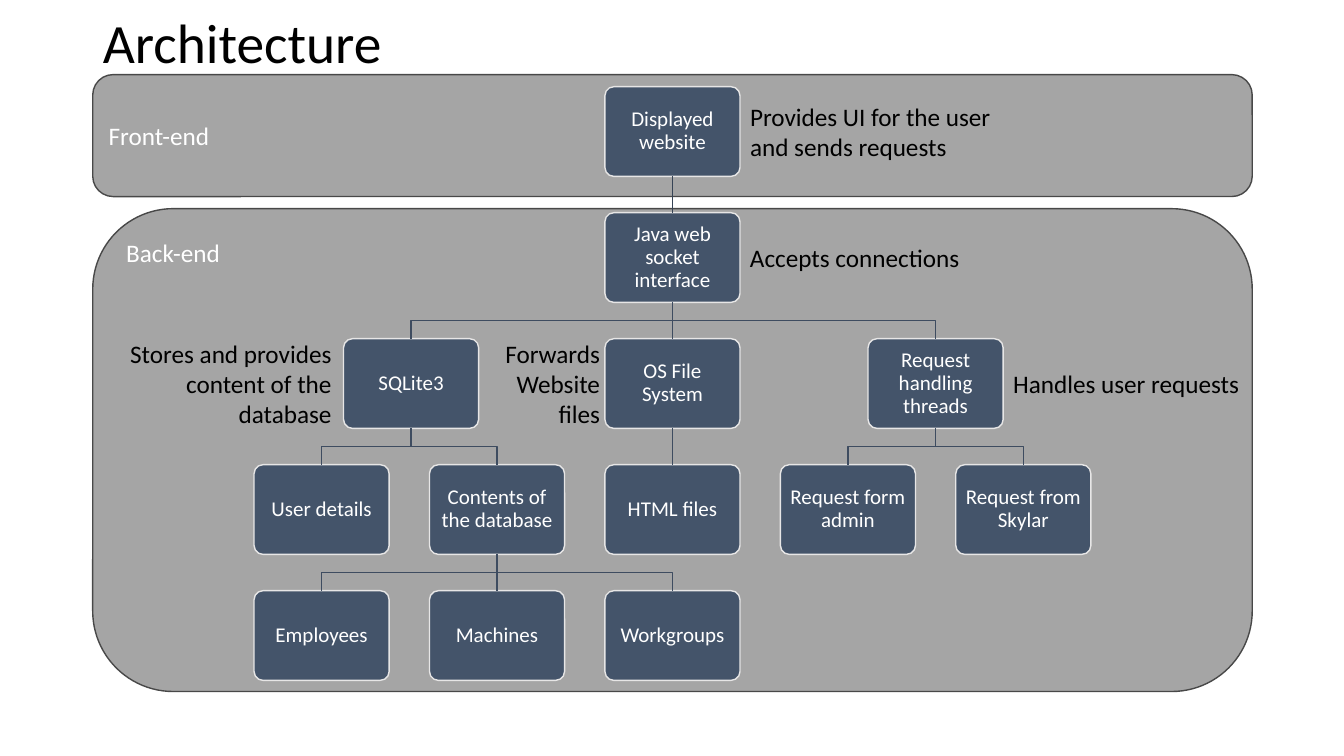
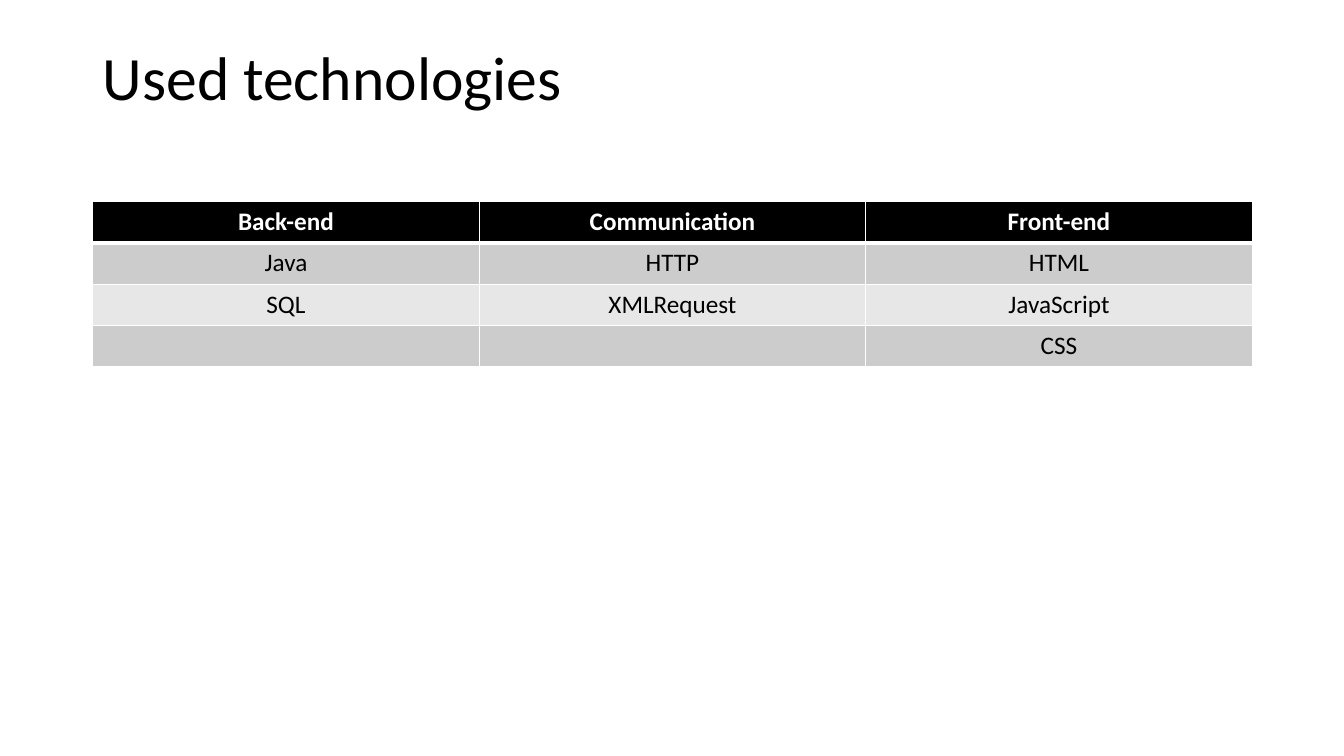
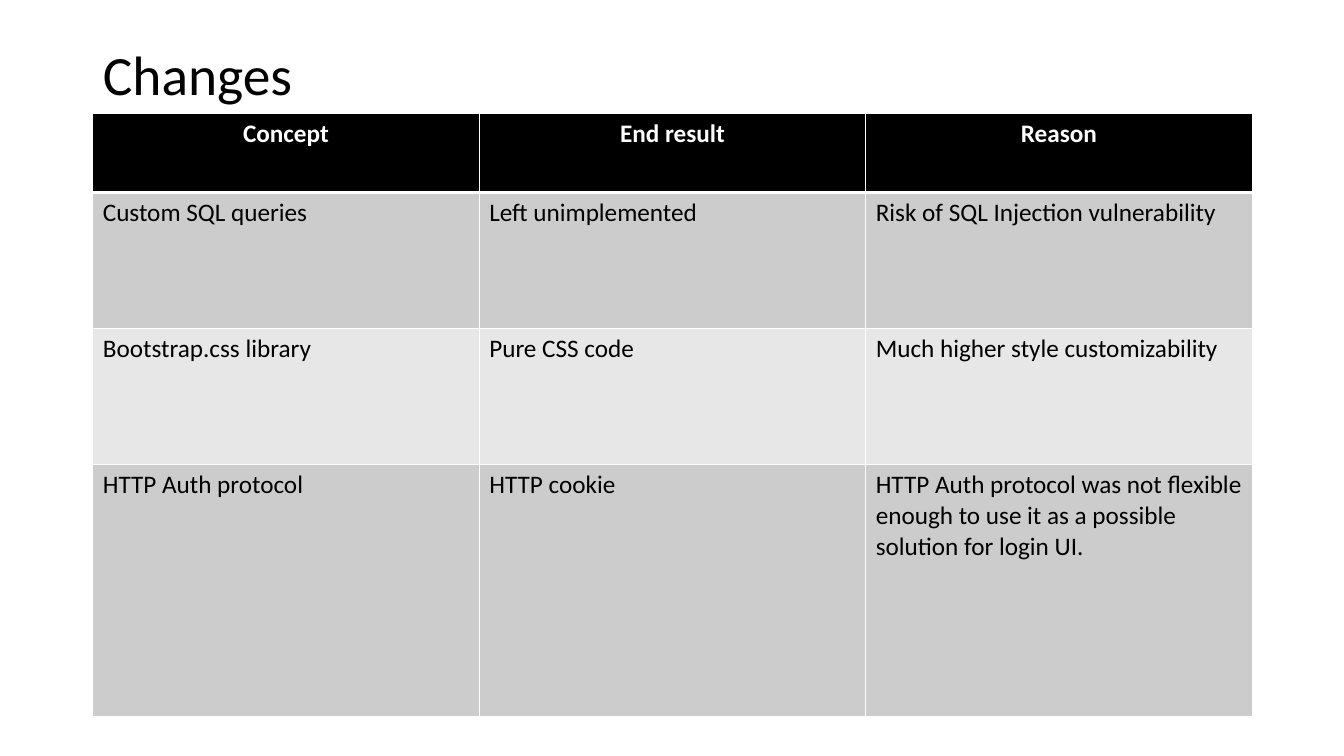
from dataclasses import dataclass

from lxml.etree import SubElement
from pptx import Presentation
from pptx.dml.color import RGBColor
from pptx.enum.shapes import MSO_CONNECTOR, MSO_SHAPE
from pptx.enum.text import MSO_ANCHOR, PP_ALIGN
from pptx.oxml.ns import qn
from pptx.util import Inches, Pt


@dataclass(frozen=True)
class Theme:
    font: str = "Calibri"
    black: str = "000000"
    white: str = "FFFFFF"
    band: str = "A5A5A5"
    band_line: str = "484848"
    node: str = "44546A"
    node_line: str = "E7E6E6"
    root_link: str = "364355"
    link: str = "3E4C60"
    row_fills: tuple = ("E7E7E7", "CCCCCC")
    title: float = 44
    title_small: float = 39.6
    body: float = 18
    label: float = 15


@dataclass(frozen=True)
class Box:
    x: float
    y: float
    w: float
    h: float

    @property
    def emu(self):
        return [Inches(v) for v in (self.x, self.y, self.w, self.h)]

    @property
    def center(self):
        return self.x + self.w / 2

    @property
    def bottom(self):
        return self.y + self.h

    def cell(self, col, row, count=5, gap_x=0.4, gap_y=0.36):
        w = (self.w - gap_x * (count - 1)) / count
        h = (self.h - gap_y * (count - 1)) / count
        return Box(self.x + col * (w + gap_x), self.y + row * (h + gap_y), w, h)


T = Theme()
LEFT, WIDTH = 0.92, 11.5

NODES = {
    "Displayed website": (2, 0, None),
    "Java web socket interface": (2, 1, "Displayed website"),
    "SQLite3": (0.51, 2, "Java web socket interface"),
    "OS File System": (2, 2, "Java web socket interface"),
    "Request handling threads": (3.5, 2, "Java web socket interface"),
    "User details": (0, 3, "SQLite3"),
    "Contents of the database": (1, 3, "SQLite3"),
    "HTML files": (2, 3, "OS File System"),
    "Request form admin": (3, 3, "Request handling threads"),
    "Request from Skylar": (4, 3, "Request handling threads"),
    "Employees": (0, 4, "Contents of the database"),
    "Machines": (1, 4, "Contents of the database"),
    "Workgroups": (2, 4, "Contents of the database"),
}

NOTES = [
    ("Displayed website", "Provides UI for the user and sends requests", 2.95, 2, None),
    ("Java web socket interface", "Accepts connections", 2.3, 1, None),
    ("Request handling threads", "Handles user requests", 2.47, 1, None),
    ("SQLite3", "Stores and provides content of the database", 2.27, 3, -0.02),
    ("OS File System", "Forwards Website files", 1.33, 3, 0.05),
]

TECHNOLOGIES = [
    ("Back-end", "Communication", "Front-end"),
    ("Java", "HTTP", "HTML"),
    ("SQL", "XMLRequest", "JavaScript"),
    ("", "", "CSS"),
]

CHANGES = [
    ("Concept", "End result", "Reason"),
    ("Custom SQL queries", "Left unimplemented", "Risk of SQL Injection vulnerability"),
    ("Bootstrap.css library", "Pure CSS code", "Much higher style customizability"),
    ("HTTP Auth protocol", "HTTP cookie",
     "HTTP Auth protocol was not flexible enough to use it as a possible solution for login UI."),
]


def rgb(color):
    return RGBColor.from_string(color)


def put_text(tf, text, size=T.body, color=T.black, bold=False, align=PP_ALIGN.LEFT,
             spacing=None, anchor=MSO_ANCHOR.TOP, wrap=True, inset=None):
    tf.word_wrap = wrap
    tf.vertical_anchor = anchor
    if inset is not None:
        tf.margin_left = tf.margin_right = tf.margin_top = tf.margin_bottom = Inches(inset)
    p = tf.paragraphs[0]
    p.alignment = align
    p.line_spacing = spacing
    p.font.size = Pt(size)
    if text:
        r = p.add_run()
        r.text = text
        f = r.font
        f.name, f.size, f.bold = T.font, Pt(size), bold
        f.color.rgb = rgb(color)


def add_title_slide(prs, text, box, size=T.title):
    s = prs.slides.add_slide(prs.slide_layouts[5])
    sp = s.shapes.title
    sp.left, sp.top, sp.width, sp.height = box.emu
    put_text(sp.text_frame, text, size=size, spacing=0.9, anchor=MSO_ANCHOR.MIDDLE)
    return s


def add_round_rect(s, box, text, fill, line, radius=None, **fmt):
    sp = s.shapes.add_shape(MSO_SHAPE.ROUNDED_RECTANGLE, *box.emu)
    sp.shadow.inherit = False
    if radius is not None:
        sp.adjustments[0] = radius
    sp.fill.solid()
    sp.fill.fore_color.rgb = rgb(fill)
    sp.line.color.rgb = rgb(line)
    sp.line.width = Pt(1)
    put_text(sp.text_frame, text, color=T.white, **fmt)
    return sp


def add_link(s, parent, child, boxes, shapes, color):
    a, b = boxes[parent], boxes[child]
    x1, y1, x2, y2 = (Inches(v) for v in (a.center, a.bottom, b.center, b.y))
    if abs(a.center - b.center) < 0.01:
        sp = s.shapes.add_connector(MSO_CONNECTOR.STRAIGHT, x1, y1, x2, y2)
        sp.begin_connect(shapes[parent], 2)
        sp.end_connect(shapes[child], 0)
        SubElement(sp.element.spPr, qn("a:effectLst"))
    else:
        mid = (y1 + y2) // 2
        outline = s.shapes.build_freeform(x1, y1)
        outline.add_line_segments([(x1, mid), (x2, mid), (x2, y2)], close=False)
        sp = outline.convert_to_shape()
        sp.shadow.inherit = False
        sp.fill.background()
    sp.line.color.rgb = rgb(color)
    sp.line.width = Pt(1)


def add_note(s, node, text, width, lines, overlap):
    h = 0.1 + 0.3 * lines
    on_right = overlap is None
    x = node.x + node.w if on_right else node.x + overlap - width
    box = Box(x, node.y + (node.h - h) / 2, width, h)
    put_text(s.shapes.add_textbox(*box.emu).text_frame, text, wrap=lines > 1,
             align=PP_ALIGN.LEFT if on_right else PP_ALIGN.RIGHT)


def add_tree(s, area):
    boxes = {name: area.cell(col, row) for name, (col, row, _) in NODES.items()}
    shapes = {
        name: add_round_rect(s, box, name, T.node, T.node_line, radius=0.1, size=T.label,
                             align=PP_ALIGN.CENTER, anchor=MSO_ANCHOR.MIDDLE,
                             spacing=0.9, inset=0.06)
        for name, box in boxes.items()
    }
    for name, (_, row, parent) in NODES.items():
        if parent:
            add_link(s, parent, name, boxes, shapes, T.root_link if row == 1 else T.link)
    for name, *note in NOTES:
        add_note(s, boxes[name], *note)


def set_borders(cell, **widths):
    tcPr = cell._tc.get_or_add_tcPr()
    for side in "LRTB":
        ln = SubElement(tcPr, qn(f"a:ln{side}"), w=str(Pt(widths.get(side, 1))))
        fill = SubElement(ln, qn("a:solidFill"))
        SubElement(fill, qn("a:srgbClr"), val=T.white)


def add_grid_table(s, x, y, width, heights, rows, align):
    box = Box(x, y, width, sum(heights))
    table = s.shapes.add_table(len(rows), len(rows[0]), *box.emu).table
    for i, (height, row) in enumerate(zip(heights, rows)):
        table.rows[i].height = Inches(height)
        header = i == 0
        thick = {0: {"B": 3}, 1: {"T": 3}}.get(i, {})
        for j, text in enumerate(row):
            cell = table.cell(i, j)
            set_borders(cell, **thick)
            cell.fill.solid()
            cell.fill.fore_color.rgb = rgb(T.black if header else T.row_fills[i % 2])
            put_text(cell.text_frame, text, bold=header,
                     color=T.white if header else T.black,
                     align=PP_ALIGN.CENTER if header else align)


def architecture(prs):
    s = add_title_slide(prs, "Architecture", Box(LEFT, 0.17, WIDTH, 0.57), T.title_small)
    add_round_rect(s, Box(LEFT, 2.07, WIDTH, 4.79), "Back-end", T.band, T.band_line)
    add_round_rect(s, Box(LEFT, 0.74, WIDTH, 1.21), "Front-end", T.band, T.band_line,
                   anchor=MSO_ANCHOR.MIDDLE)
    add_tree(s, Box(2.52, 0.86, 8.3, 5.89))


def technologies(prs):
    s = add_title_slide(prs, "Used technologies", Box(LEFT, 0.4, WIDTH, 0.8))
    add_grid_table(s, LEFT, 2, WIDTH, [0.41] * 4, TECHNOLOGIES, PP_ALIGN.CENTER)


def changes(prs):
    s = add_title_slide(prs, "Changes", Box(LEFT, 0.4, WIDTH, 0.73), T.title_small)
    add_grid_table(s, LEFT, 1.13, WIDTH, [0.78, 1.35, 1.35, 2.5], CHANGES, PP_ALIGN.LEFT)


def main():
    prs = Presentation()
    prs.slide_width, prs.slide_height = Inches(13.33), Inches(7.5)
    for build in (architecture, technologies, changes):
        build(prs)
    prs.save("out.pptx")


if __name__ == "__main__":
    main()
